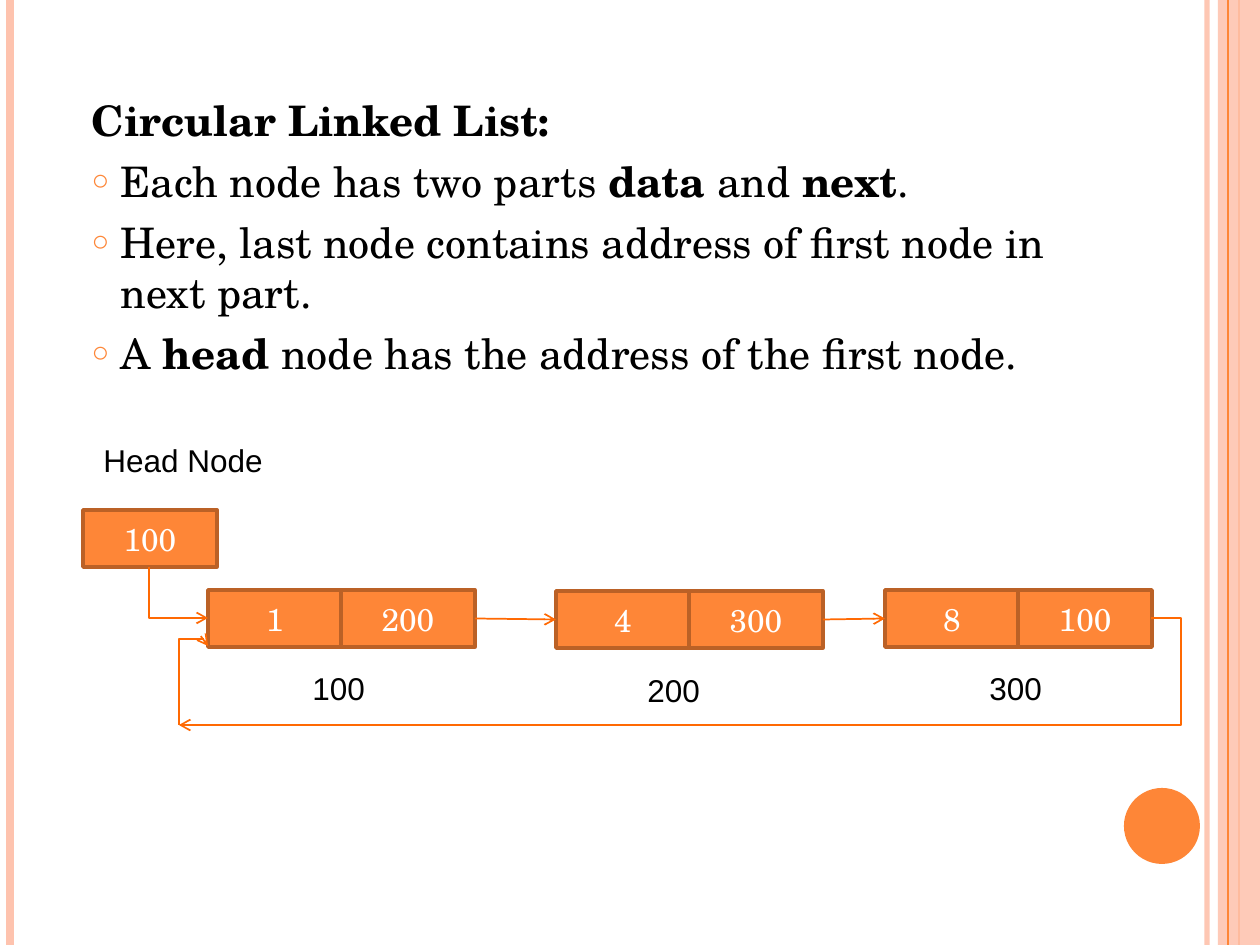
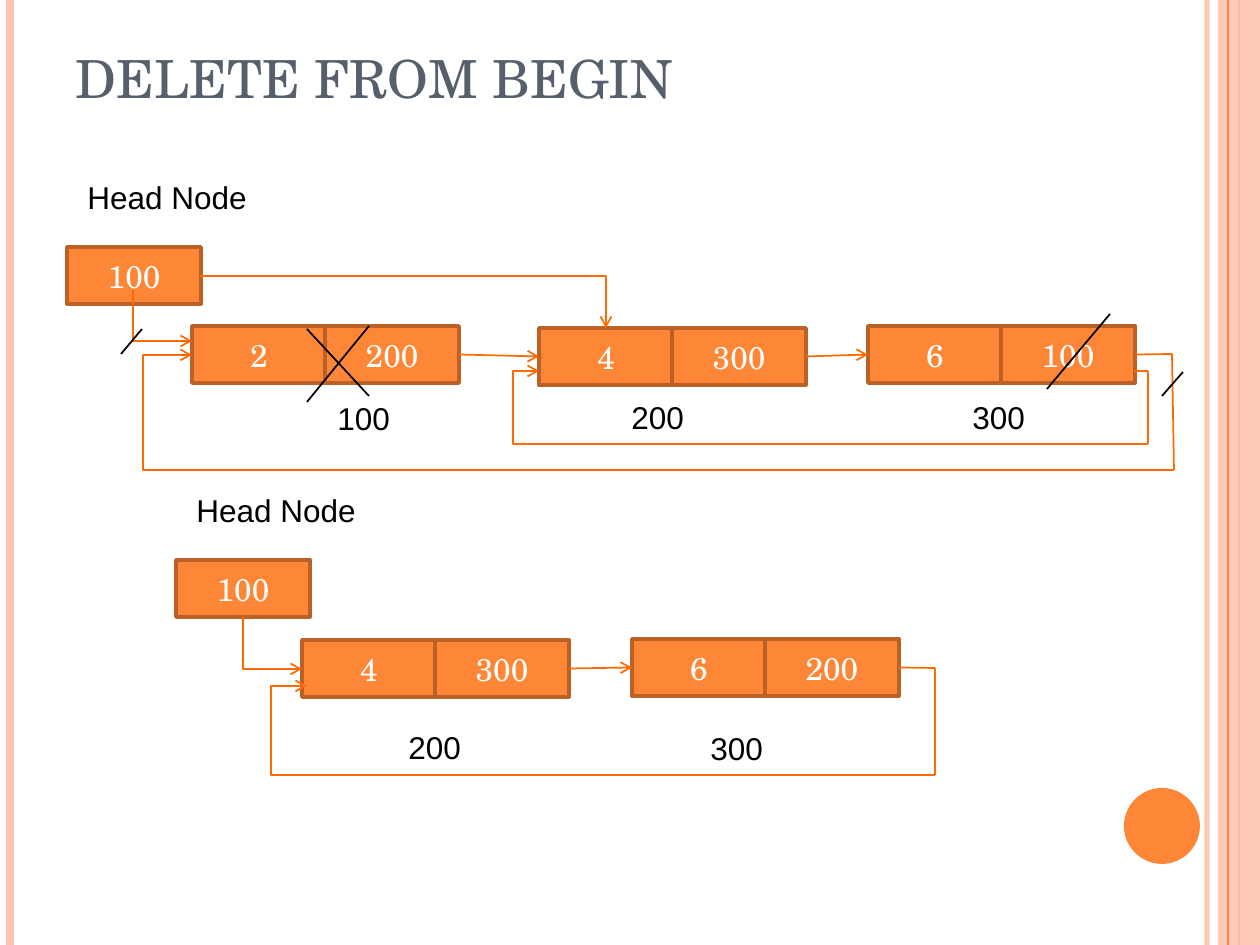
"""Build two slides on circular linked lists and deleting their first node."""
from itertools import pairwise

from lxml import etree
from pptx import Presentation
from pptx.dml.color import RGBColor
from pptx.enum.shapes import MSO_CONNECTOR, MSO_SHAPE
from pptx.enum.text import MSO_ANCHOR, MSO_AUTO_SIZE, PP_ALIGN
from pptx.oxml.ns import qn
from pptx.util import Pt

STRAIGHT, ELBOW = MSO_CONNECTOR.STRAIGHT, MSO_CONNECTOR.ELBOW
RECTANGLE, OVAL = MSO_SHAPE.RECTANGLE, MSO_SHAPE.OVAL
TOP, MIDDLE, BOTTOM = MSO_ANCHOR.TOP, MSO_ANCHOR.MIDDLE, MSO_ANCHOR.BOTTOM
LEFT, CENTER = PP_ALIGN.LEFT, PP_ALIGN.CENTER
NO_FIT = MSO_AUTO_SIZE.NONE
LEFT_SIDE, RIGHT_SIDE = 1, 3

EMU_PER_PX = 914400 / 126
SLIDE_SIZE = (1260, 945)
ORANGE, EDGE, ARROW, PEACH = "FE8637", "BB6126", "FF6903", "FEC3AE"
BLACK, WHITE, SLATE = "000000", "FFFFFF", "575F6D"
SERIF, SANS = "TeX Gyre Schola", "Arial"

TITLE_FONT = {"name": SERIF, "size": Pt(30), "bold": False, "color": SLATE}
BODY_FONT = {"name": SERIF, "size": Pt(24), "color": BLACK}
CELL_FONT = {"name": SERIF, "size": Pt(18), "color": WHITE}
LABEL_FONT = {"name": SANS, "size": Pt(18), "color": BLACK}

BANDS = [(1207, PEACH, 3, 93), (10, PEACH, 4.5, 100), (1239, ORANGE, 1.5, 100),
         (1228, ORANGE, 0.75, 100)]
STRIP, STRIP_OPACITY = (1218, 0, 42, 945), 87
DISC = (1124, 788, 76, 76)

TITLE, TITLE_BOX = "DELETE FROM BEGIN", (63, 38, 1029, 77)
BODY_BOX = (79, 88, 1029, 672)
HEADING = "Circular Linked List:"
BULLETS = [
    [("Each node has two parts ", False), ("data", True), (" and ", False),
     ("next", True), (".", False)],
    [("Here, last node contains address of first node in next part.", False)],
    [("A ", False), ("head ", True), ("node has the address of the first node.", False)],
]
BULLET_INDENT = 29

CELL_SIZE, CELL_STEP = (134, 57), 133
HEAD_LABEL, HEAD_LABEL_SHIFT, HEAD_LABEL_SIZE = "Head Node", (8, -75), (198, 50)
ADDRESS_SIZE = (107, 50)

# Nodes: left, top, data, next, address, address left, address top.
# Elbows: start, end, first direction, position of the middle bend.
CIRCULAR_LIST = {
    "head": (83, 510, "100"),
    "nodes": [(208, 590, "1", "200", "100", 300, 663),
              (556, 591, "4", "300", "200", 635, 665),
              (885, 590, "8", "100", "300", 977, 663)],
    "elbows": [((149, 567), (208, 618), "down", None),
               ((1151, 618), (179, 725), "across", 1181),
               ((179, 725), (208, 646), "down", 639)],
}
BEFORE_DELETE = {
    "head": (67, 247, "100"),
    "nodes": [(192, 326, "2", "200", "100", 325, 393),
              (539, 328, "4", "300", "200", 619, 392),
              (868, 326, "6", "100", "300", 960, 392)],
    "elbows": [((133, 290), (192, 341), "down", None),
               ((200, 276), (606, 328), "across", None),
               ((1174, 470), (192, 355), "across", 143),
               ((1148, 444), (539, 371), "across", 513)],
    "exit": [(1172, 354), (1174, 470)],
    "new_exit": [(1134, 371), (1148, 371), (1148, 444)],
    "strikes": [((142, 329), (121, 354)), ((369, 326), (307, 402)),
                ((369, 396), (307, 329)), ((1183, 372), (1162, 396)),
                ((1110, 314), (1047, 389))],
}
AFTER_DELETE = {
    "head": (176, 560, "100"),
    "nodes": [(302, 640, "4", "300", "200", 396, 722),
              (632, 639, "6", "200", "300", 698, 723)],
    "elbows": [((243, 617), (302, 669), "down", None),
               ((935, 775), (307, 686), "across", 271)],
    "exit": [(935, 668), (935, 775)],
}


def px(*lengths):
    """Turn pixel lengths into EMU."""
    return [round(length * EMU_PER_PX) for length in lengths]


def rgb(hex_text):
    """Turn a hex string into a colour."""
    return RGBColor.from_string(hex_text)


def add_element(parent, tag, **attributes):
    """Append one drawing element with its attributes."""
    element = etree.SubElement(parent, qn(tag))
    for name, value in attributes.items():
        element.set(name, str(value))
    return element


def set_font(font, formats):
    """Apply a dict of font values."""
    for name, value in formats.items():
        if name == "color":
            font.color.rgb = rgb(value)
        else:
            setattr(font, name, value)


def set_opacity(shape, percent):
    """Make the colours of a shape partly transparent."""
    if percent < 100:
        for color in shape._element.xpath("./p:spPr//a:srgbClr"):
            add_element(color, "a:alpha", val=percent * 1000)


def set_frame(frame, anchor):
    """Set wrapping, fitting and anchor of a text frame."""
    for name, value in {"word_wrap": True, "auto_size": NO_FIT,
                        "vertical_anchor": anchor}.items():
        setattr(frame, name, value)


def write_line(frame, text, formats, alignment=LEFT, anchor=TOP):
    """Write one formatted line in a text frame."""
    set_frame(frame, anchor)
    paragraph = frame.paragraphs[0]
    paragraph.alignment = alignment
    run = paragraph.add_run()
    run.text = text
    set_font(run.font, formats)


def place(shape, box):
    """Move a placeholder to a pixel box."""
    for name, value in zip(("left", "top", "width", "height"), px(*box)):
        setattr(shape, name, value)


def add_block(slide, kind, box, fill, edge=None):
    """Add a flat preset shape."""
    shape = slide.shapes.add_shape(kind, *px(*box))
    shape.shadow.inherit = False
    shape.fill.solid()
    shape.fill.fore_color.rgb = rgb(fill)
    if edge:
        shape.line.color.rgb = rgb(edge)
        shape.line.width = Pt(2)
    else:
        shape.line.fill.background()
    return shape


def add_cell(slide, left, top, text):
    """Add one cell of a node."""
    cell = add_block(slide, RECTANGLE, (left, top, *CELL_SIZE), ORANGE, EDGE)
    write_line(cell.text_frame, text, CELL_FONT, CENTER, MIDDLE)
    return cell


def add_label(slide, box, text):
    """Add a plain text label."""
    label = slide.shapes.add_textbox(*px(*box))
    write_line(label.text_frame, text, LABEL_FONT)


def add_line(slide, start, end, color=ARROW, width=1, arrow=False, kind=STRAIGHT):
    """Add a connector between two pixel points."""
    connector = slide.shapes.add_connector(kind, *px(*start, *end))
    connector.line.color.rgb = rgb(color)
    connector.line.width = Pt(width)
    if arrow:
        add_element(connector.line._get_or_add_ln(), "a:tailEnd", type="arrow")
    add_element(connector._element.spPr, "a:effectLst")
    return connector


def add_elbow(slide, start, end, direction, bend):
    """Add a bent arrow; a downward one is an across one turned by 90 degrees."""
    (x1, y1), (x2, y2) = start, end
    down = direction == "down"
    if down:
        middle_x, middle_y = (x1 + x2) / 2, (y1 + y2) / 2
        half_x, half_y = (y2 - y1) / 2, (x1 - x2) / 2
        start = (middle_x - half_x, middle_y - half_y)
        end = (middle_x + half_x, middle_y + half_y)
    connector = add_line(slide, start, end, arrow=True, kind=ELBOW)
    properties = connector._element.spPr
    if down:
        properties.find(qn("a:xfrm")).set("rot", "5400000")
    geometry = properties.find(qn("a:prstGeom"))
    if bend is None:
        geometry.set("prst", "bentConnector2")
    else:
        first, last = (y1, y2) if down else (x1, x2)
        ratio = round((bend - first) / (last - first) * 100000)
        add_element(geometry.find(qn("a:avLst")), "a:gd", name="adj1", fmla=f"val {ratio}")


def add_diagram(slide, diagram):
    """Draw one linked list with its head, nodes and links."""
    left, top, value = diagram["head"]
    add_cell(slide, left, top, value)
    shift_x, shift_y = HEAD_LABEL_SHIFT
    add_label(slide, (left + shift_x, top + shift_y, *HEAD_LABEL_SIZE), HEAD_LABEL)
    nodes = []
    for left, top, data, following, address, label_left, label_top in diagram["nodes"]:
        nodes.append((add_cell(slide, left, top, data),
                      add_cell(slide, left + CELL_STEP, top, following)))
        add_label(slide, (label_left, label_top, *ADDRESS_SIZE), address)
    for (_, source), (target, _) in pairwise(nodes):
        link = add_line(slide, (0, 0), (0, 0), arrow=True)
        link.begin_connect(source, RIGHT_SIDE)
        link.end_connect(target, LEFT_SIDE)
    for elbow in diagram["elbows"]:
        add_elbow(slide, *elbow)
    if "exit" in diagram:
        corner, finish = diagram["exit"]
        add_line(slide, corner, corner).begin_connect(nodes[-1][1], RIGHT_SIDE)
        add_line(slide, corner, finish)
    for start, end in pairwise(diagram.get("new_exit", [])):
        add_line(slide, start, end)
    for start, end in diagram.get("strikes", []):
        add_line(slide, start, end, BLACK)


def add_master_bands(presentation, slide):
    """Draw the shared bands and disc, then move them to the slide master."""
    existing = len(slide.shapes)
    for index, (x, color, width, opacity) in enumerate(BANDS):
        if index == len(BANDS) - 1:
            strip = add_block(slide, RECTANGLE, STRIP, PEACH)
            set_opacity(strip, STRIP_OPACITY)
        set_opacity(add_line(slide, (x, 0), (x, SLIDE_SIZE[1]), color, width), opacity)
    add_block(slide, OVAL, DISC, ORANGE)
    tree = presentation.slide_master.shapes._spTree
    for number, shape in enumerate(list(slide.shapes)[existing:], 100):
        shape._element.xpath(".//p:cNvPr")[0].set("id", str(number))
        tree.append(shape._element)


def write_body(body):
    """Write the heading and the bulleted list."""
    place(body, BODY_BOX)
    frame = body.text_frame
    set_frame(frame, TOP)
    for index, runs in enumerate([[(HEADING, True)], *BULLETS]):
        paragraph = frame.add_paragraph() if index else frame.paragraphs[0]
        properties = paragraph._p.get_or_add_pPr()
        indent = px(BULLET_INDENT)[0] if index else 0
        properties.set("marL", str(indent))
        properties.set("indent", str(-indent))
        if index:
            add_element(add_element(properties, "a:buClr"), "a:srgbClr", val=ORANGE)
            add_element(properties, "a:buSzPct", val=70000)
            add_element(properties, "a:buChar", char="○")
        else:
            add_element(properties, "a:buNone")
        paragraph.space_before = Pt(6 if index else 0)
        for text, bold in runs:
            run = paragraph.add_run()
            run.text = text
            set_font(run.font, {**BODY_FONT, "bold": bold})


def main():
    """Build and save the presentation."""
    presentation = Presentation()
    presentation.slide_width, presentation.slide_height = px(*SLIDE_SIZE)
    layouts = presentation.slide_layouts

    slide = presentation.slides.add_slide(layouts.get_by_name("Title and Content"))
    add_master_bands(presentation, slide)
    title = slide.shapes.title._element
    title.getparent().remove(title)
    write_body(slide.placeholders[1])
    add_diagram(slide, CIRCULAR_LIST)

    slide = presentation.slides.add_slide(layouts.get_by_name("Title Only"))
    place(slide.shapes.title, TITLE_BOX)
    write_line(slide.shapes.title.text_frame, TITLE, TITLE_FONT, LEFT, BOTTOM)
    for diagram in (BEFORE_DELETE, AFTER_DELETE):
        add_diagram(slide, diagram)

    presentation.save("out.pptx")


if __name__ == "__main__":
    main()
